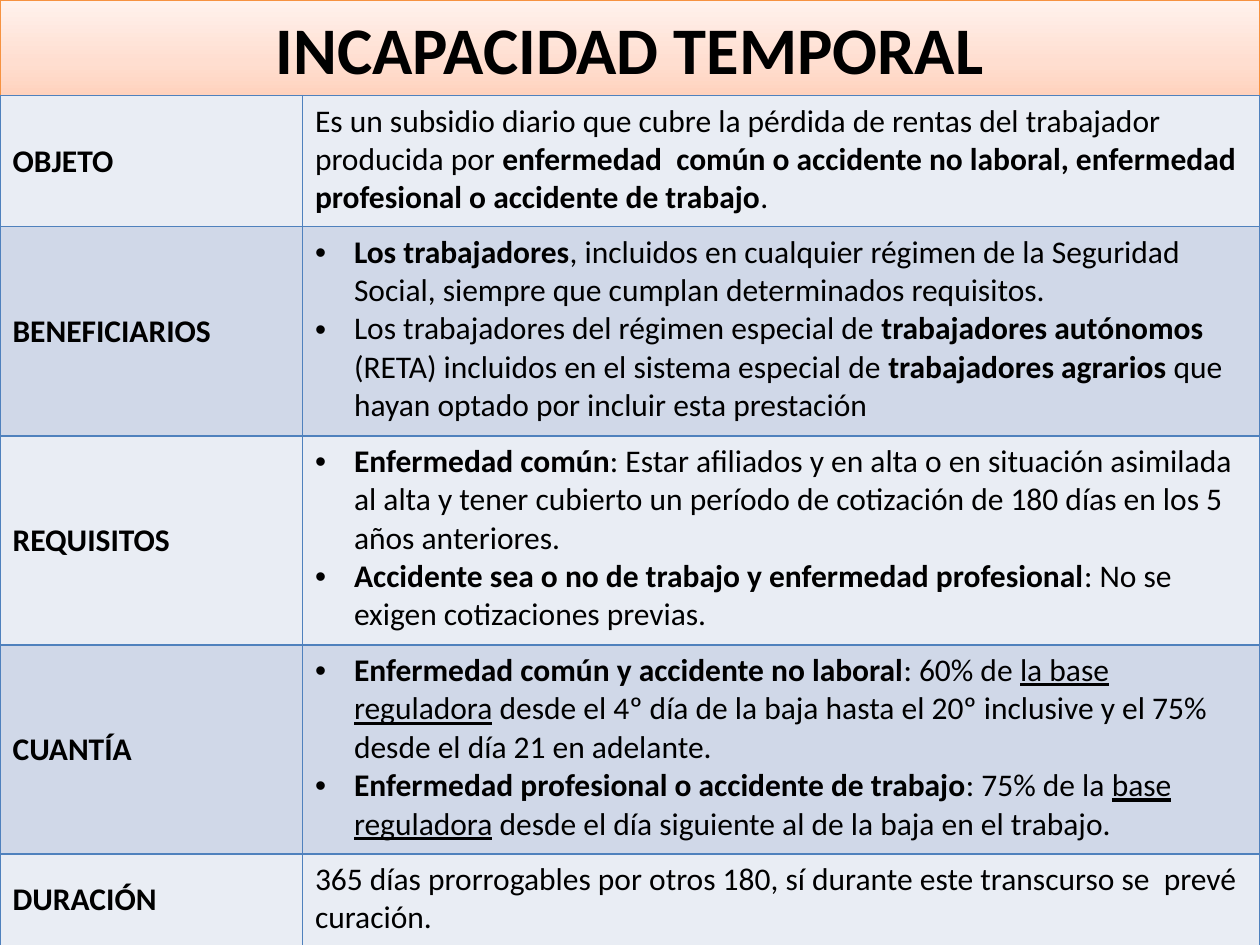
import copy

import lxml.etree
import pptx
import pptx.dml.color
import pptx.enum.text
import pptx.oxml
import pptx.oxml.ns
import pptx.util

WIDTH, HEIGHT = 10, 7.5
TITLE_HEIGHT = 0.76
COLUMN_WIDTHS = [2.4, 7.6]
ROW_HEIGHTS = [1.04, 1.66, 1.66, 1.66, 0.73]

# Each row: label, paragraphs, bulleted or not; *bold* and _underlined_
BENEFIT_ROWS = [
    ("OBJETO", [
        "Es un subsidio diario que cubre la pérdida de rentas del trabajador producida por "
        "*enfermedad  común o accidente no laboral, enfermedad profesional o accidente "
        "de trabajo*.",
    ], False),
    ("BENEFICIARIOS", [
        "*Los trabajadores*, incluidos en cualquier régimen de la Seguridad Social, siempre "
        "que cumplan determinados requisitos.",
        "Los trabajadores del régimen especial de *trabajadores autónomos* (RETA) incluidos "
        "en el sistema especial de *trabajadores agrarios* que hayan optado por incluir "
        "esta prestación",
    ], True),
    ("REQUISITOS", [
        "*Enfermedad común*: Estar afiliados y en alta o en situación asimilada al alta y "
        "tener cubierto un período de cotización de 180 días en los 5 años anteriores.",
        "*Accidente sea o no de trabajo y enfermedad profesional*: No se exigen "
        "cotizaciones previas.",
    ], True),
    ("CUANTÍA", [
        "*Enfermedad común y accidente no laboral*: 60% de _la base reguladora_ desde el "
        "4º día de la baja hasta el 20º inclusive y el 75% desde el día 21 en adelante.",
        "*Enfermedad profesional o accidente de trabajo*: 75% de la _base reguladora_ desde "
        "el día siguiente al de la baja en el trabajo.",
    ], True),
    ("DURACIÓN", [
        "365 días prorrogables por otros 180, sí durante este transcurso se  prevé curación.",
    ], False),
]


def color(hex_code):
    return pptx.dml.color.RGBColor.from_string(hex_code)


def add_xml(parent, tag, **attributes):
    child = lxml.etree.SubElement(parent, pptx.oxml.ns.qn(tag))
    for key, value in attributes.items():
        child.set(key, str(value))
    return child


class BenefitSlide:
    font = "Calibri"
    ink = "000000"
    border = "4F81BD"
    bands = ["E9EDF4", "D0D8E8"]
    title_stops = [(0, "FFD2BD"), (0.35, "FFDED0"), (1, "FFF2ED")]
    title_line = "F69240"
    bullet_indent = pptx.util.Inches(0.31)

    def __init__(self, presentation):
        self.slide = presentation.slides.add_slide(presentation.slide_layouts[5])

    def style(self, paragraph, size, bold=None):
        font = paragraph.font
        font.name, font.size, font.bold = self.font, pptx.util.Pt(size), bold
        font.color.rgb = color(self.ink)

    def title(self, text, height):
        heading = self.slide.shapes.title
        heading.left = heading.top = 0
        heading.width, heading.height = pptx.util.Inches(WIDTH), pptx.util.Inches(height)
        heading.line.color.rgb = color(self.title_line)
        heading.line.width = pptx.util.Pt(0.75)

        # Three-stop gradient, darkest at the bottom
        heading.fill.gradient()
        heading.fill.gradient_angle = 90
        properties = heading._element.spPr
        stop_list = properties.find(".//" + pptx.oxml.ns.qn("a:gsLst"))
        stop_list.append(copy.deepcopy(stop_list[-1]))
        for stop, (position, hex_code) in zip(heading.fill.gradient_stops, self.title_stops):
            stop.position = position
            stop.color.rgb = color(hex_code)

        # Soft shadow below
        shadow = add_xml(add_xml(properties, "a:effectLst"), "a:outerShdw",
                         blurRad=pptx.util.Pt(3.1), dist=pptx.util.Pt(1.6),
                         dir=90 * 60000, rotWithShape=0)
        add_xml(add_xml(shadow, "a:srgbClr", val="000000"), "a:alpha", val=38000)

        frame = heading.text_frame
        frame.text = text
        frame.auto_size = pptx.enum.text.MSO_AUTO_SIZE.NONE
        frame.vertical_anchor = pptx.enum.text.MSO_ANCHOR.MIDDLE
        frame.paragraphs[0].alignment = pptx.enum.text.PP_ALIGN.CENTER
        self.style(frame.paragraphs[0], 38, True)

    def table(self, rows, top, column_widths, row_heights):
        grid = self.slide.shapes.add_table(
            len(rows), len(column_widths), 0, pptx.util.Inches(top),
            pptx.util.Inches(sum(column_widths)), pptx.util.Inches(sum(row_heights))).table
        grid.first_row = grid.horz_banding = False
        for column, width in zip(grid.columns, column_widths):
            column.width = pptx.util.Inches(width)
        for index, (label, details, bulleted) in enumerate(rows):
            grid.rows[index].height = pptx.util.Inches(row_heights[index])
            band = self.bands[index % 2]
            label_cell = grid.cell(index, 0)
            label_cell.vertical_anchor = pptx.enum.text.MSO_ANCHOR.MIDDLE
            self.cell(label_cell, [f"*{label}*"], band)
            self.cell(grid.cell(index, 1), details, band, bulleted)

    def cell(self, cell, texts, fill, bulleted=False):
        properties = cell._tc.get_or_add_tcPr()
        for side in ("L", "R", "T", "B"):
            line = add_xml(properties, f"a:ln{side}", w=pptx.util.Pt(1))
            add_xml(add_xml(line, "a:solidFill"), "a:srgbClr", val=self.border)
        cell.fill.solid()
        cell.fill.fore_color.rgb = color(fill)
        frame = cell.text_frame
        for index, text in enumerate(texts):
            paragraph = frame.add_paragraph() if index else frame.paragraphs[0]
            if bulleted:
                self.bullet(paragraph)
            self.style(paragraph, 18)
            self.runs(paragraph, text)

    def bullet(self, paragraph):
        properties = paragraph._p.get_or_add_pPr()
        properties.set("marL", str(self.bullet_indent))
        properties.set("indent", str(-self.bullet_indent))
        add_xml(properties, "a:buFont", typeface="Arial")
        add_xml(properties, "a:buChar", char="•")

    def runs(self, paragraph, text):
        for bold_index, section in enumerate(text.split("*")):
            for underline_index, words in enumerate(section.split("_")):
                if words:
                    run = paragraph.add_run()
                    run.text = words
                    run.font.bold = bold_index % 2 == 1
                    if underline_index % 2:
                        run.font.underline = True


def main():
    presentation = pptx.Presentation()
    presentation.slide_width = pptx.util.Inches(WIDTH)
    presentation.slide_height = pptx.util.Inches(HEIGHT)

    benefit = BenefitSlide(presentation)
    benefit.title("INCAPACIDAD TEMPORAL", TITLE_HEIGHT)
    benefit.table(BENEFIT_ROWS, TITLE_HEIGHT, COLUMN_WIDTHS, ROW_HEIGHTS)
    presentation.save("out.pptx")


if __name__ == "__main__":
    main()
